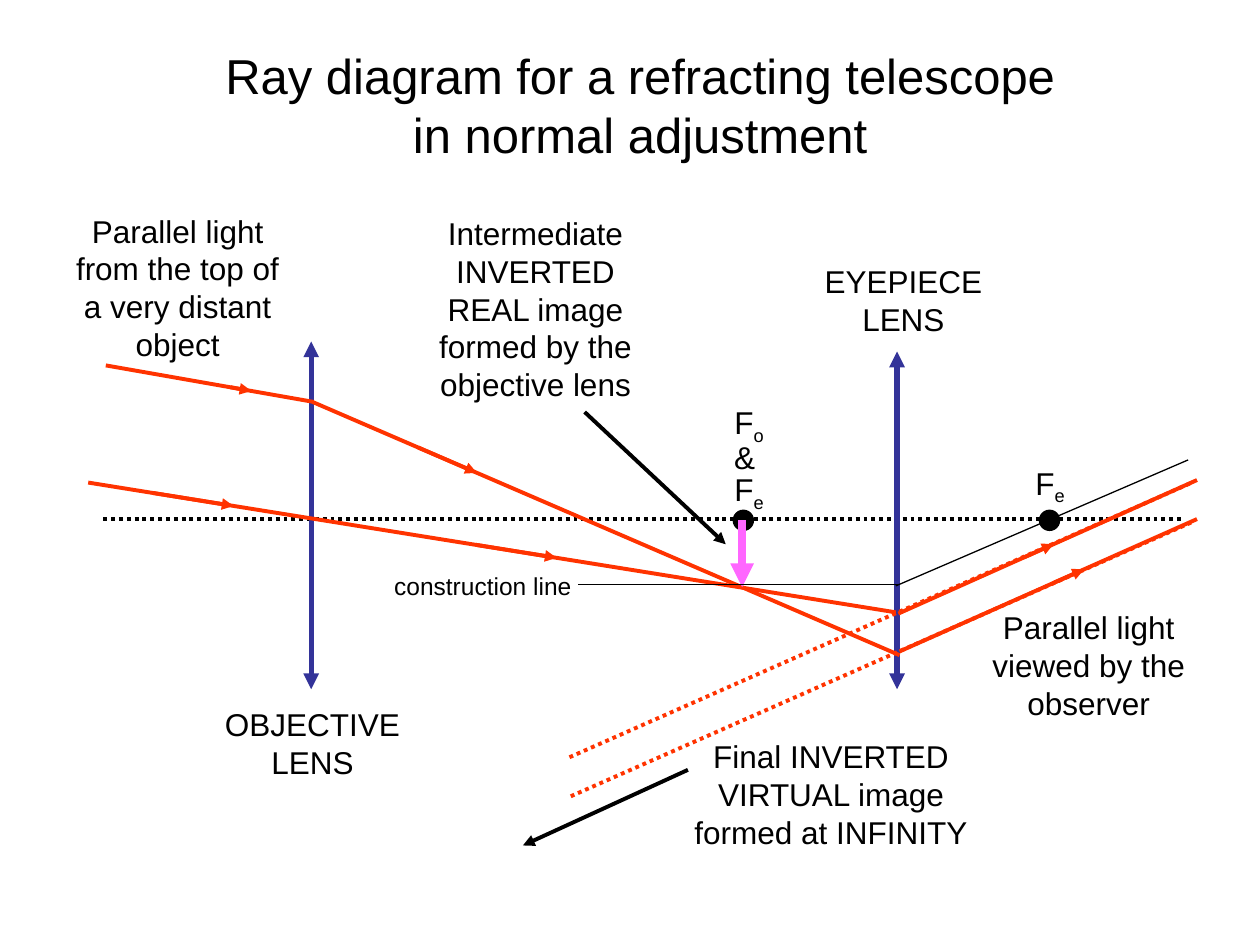
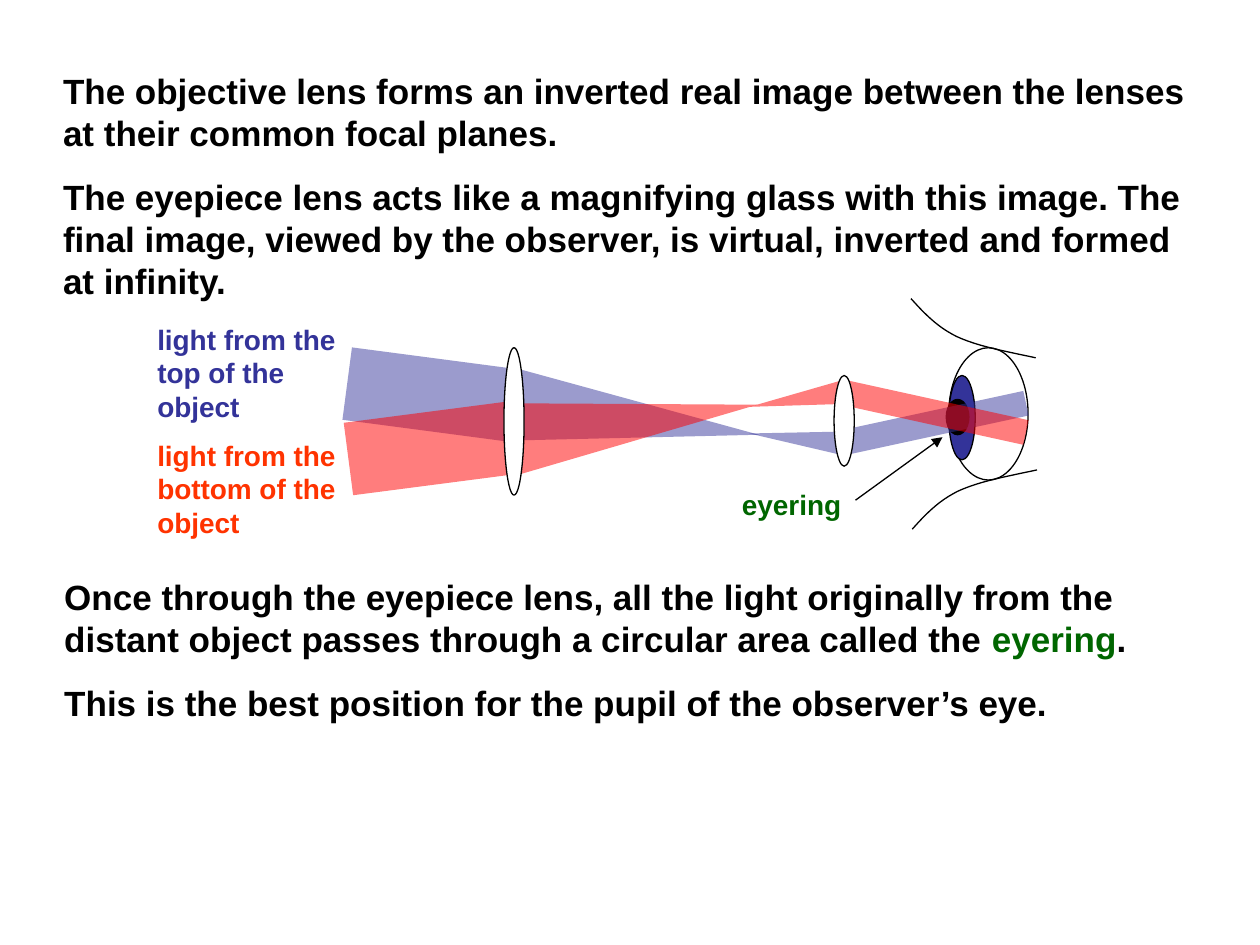
from dataclasses import dataclass

from lxml import etree
from pptx import Presentation
from pptx import util as u
from pptx.dml.color import RGBColor
from pptx.enum import dml, shapes, text
from pptx.oxml.ns import qn

PX = 9144  # EMU in one px: 100 px to the inch


@dataclass(frozen=True)
class Theme:
    font: str = "Arial"
    ink: str = "000000"
    paper: str = "FFFFFF"
    indigo: str = "333399"
    ray: str = "FF3300"
    red: str = "FF0000"
    image: str = "FF66FF"
    eyering: str = "006600"
    title: int = 28
    body: int = 20
    label: int = 18
    caption: int = 16
    small: int = 14
    hairline: float = 0.75
    stroke: float = 2.25
    lens: float = 3
    thick: float = 4.5


THEME = Theme()
OVAL = shapes.MSO_SHAPE.OVAL
RECTANGLE = shapes.MSO_SHAPE.RECTANGLE
TRIANGLE = shapes.MSO_SHAPE.ISOSCELES_TRIANGLE
LEFT, CENTER = text.PP_ALIGN.LEFT, text.PP_ALIGN.CENTER


def write(shape, *paragraphs, size=THEME.label, color=THEME.ink, bold=False,
          align=CENTER, space_before=0):
    """Fill a shape; a paragraph is a string or a list of (text, color, baseline)."""
    frame = shape.text_frame
    frame.word_wrap = True
    frame.auto_size = text.MSO_AUTO_SIZE.NONE
    frame.vertical_anchor = text.MSO_ANCHOR.TOP
    for index, content in enumerate(paragraphs):
        paragraph = frame.add_paragraph() if index else frame.paragraphs[0]
        properties = paragraph._p.get_or_add_pPr()
        properties.set("marL", "0")
        properties.set("indent", "0")
        etree.SubElement(properties, qn("a:buNone"))
        paragraph.alignment = align
        paragraph.space_before = u.Pt(space_before if index else 0)
        runs = [(content, color, 0)] if isinstance(content, str) else content
        for words, run_color, baseline in runs:
            run = paragraph.add_run()
            run.text = words
            run.font.name = THEME.font
            run.font.size = u.Pt(size)
            run.font.bold = bold
            run.font.color.rgb = RGBColor.from_string(run_color)
            if baseline:
                run._r.get_or_add_rPr().set("baseline", str(baseline * 1000))


def place(shape, left, top, width, height):
    shape.left, shape.top = left * PX, top * PX
    shape.width, shape.height = width * PX, height * PX


def outline(shape, color, weight):
    shape.line.color.rgb = RGBColor.from_string(color)
    shape.line.width = u.Pt(weight)


class Region:
    """A box on a slide; all positions are counted from its corner."""

    def __init__(self, slide, left, top):
        self.shapes = slide.shapes
        self.left, self.top = left, top

    def at(self, x, y):
        return round((self.left + x) * PX), round((self.top + y) * PX)

    def label(self, content, left, top, width, height, **style):
        box = self.shapes.add_textbox(*self.at(left, top), width * PX, height * PX)
        write(box, content, **style)

    def line(self, start, end, color=THEME.ink, weight=THEME.stroke,
             dotted=False, arrows=()):
        connector = self.shapes.add_connector(
            shapes.MSO_CONNECTOR.STRAIGHT, *self.at(*start), *self.at(*end))
        outline(connector, color, weight)
        if dotted:
            connector.line.dash_style = dml.MSO_LINE.ROUND_DOT
        properties = connector.element.spPr
        for arrow in arrows:
            etree.SubElement(properties.find(qn("a:ln")), qn(f"a:{arrow}"), type="triangle")
        etree.SubElement(properties, qn("a:effectLst"))

    def arrow(self, start, end, **style):
        self.line(start, end, arrows=["tailEnd"], **style)

    def ray(self, start, end, *tips):
        """Draw a light ray with an arrowhead at each given fraction of its length."""
        def along(part):
            return tuple(a + (b - a) * part for a, b in zip(start, end))

        self.line(start, end, THEME.ray)
        for tip in tips:
            self.arrow(along(tip - 0.1), along(tip), color=THEME.ray)

    def shape(self, kind, left, top, width, height, fill, opacity=None, rotation=0):
        """Draw an outlined shape, or one without outline if an opacity is given."""
        shape = self.shapes.add_shape(kind, *self.at(left, top), width * PX, height * PX)
        shape.shadow.inherit = False
        shape.rotation = rotation
        shape.fill.solid()
        shape.fill.fore_color.rgb = RGBColor.from_string(fill)
        if opacity is None:
            outline(shape, THEME.ink, THEME.hairline)
        else:
            shape.line.fill.background()
            color = shape.element.spPr.find(qn("a:solidFill"))[0]
            etree.SubElement(color, qn("a:alpha"), val=str(opacity * 1000))

    def curve(self, points, steps=12):
        """Draw joined cubic curves: one start point, then three points for each."""
        outline_points = []
        for first in range(0, len(points) - 1, 3):
            for step in range(1, steps + 1):
                t = step / steps
                weights = ((1 - t) ** 3, 3 * t * (1 - t) ** 2, 3 * t * t * (1 - t), t ** 3)
                knots = points[first:first + 4]
                outline_points.append(self.at(*(
                    sum(w * knot[axis] for w, knot in zip(weights, knots))
                    for axis in (0, 1))))
        builder = self.shapes.build_freeform(*self.at(*points[0]))
        builder.add_line_segments(outline_points, close=False)
        shape = builder.convert_to_shape()
        shape.shadow.inherit = False
        shape.fill.background()
        outline(shape, THEME.ink, THEME.hairline)


def draw_lenses_and_foci(region):
    region.line((32, 262), (890, 262), dotted=True)
    for x, top in ((197, 121), (662, 129)):
        region.line((x, top), (x, 397), THEME.indigo, THEME.lens,
                    arrows=["headEnd", "tailEnd"])
    for left in (532, 775):
        region.shape(OVAL, left, 255, 16, 16, THEME.ink)
    for mark, left, top in (("o", 507, 165), ("e", 507, 218), ("e", 746, 213)):
        focus = [("F", THEME.ink, 0), (mark, THEME.ink, -25)]
        region.label(focus, left, top, 75, 44)
    region.label("&", 513, 193, 56, 40)
    region.label("OBJECTIVE LENS", 103, 405, 190, 70)
    region.label("EYEPIECE LENS", 572, 53, 190, 70)


def draw_incoming_light(region):
    region.ray((20, 233), (661, 336), 0.18, 0.58)
    region.ray((198, 169), (664, 370), 0.28)
    region.ray((34, 140), (199, 169), 0.7)
    region.label("Parallel light from the top of a very distant object", -4, 13, 190, 130)


def draw_intermediate_image(region):
    region.label("Intermediate INVERTED REAL image formed by the objective lens",
                 280, 15, 190, 160)
    region.arrow((414, 177), (526, 282))
    region.arrow((539, 263), (539, 316), color=THEME.image, weight=THEME.thick)
    region.line((409, 314), (663, 314), weight=THEME.hairline)
    region.line((661, 315), (893, 215), weight=THEME.hairline)
    region.label("construction line", 253, 298, 176, 34, size=THEME.small, align=LEFT)


def draw_outgoing_light(region):
    region.label("Parallel light viewed by the observer", 719, 328, 190, 100)
    region.ray((663, 337), (900, 231), 0.52)
    region.ray((664, 367), (900, 262), 0.62)
    region.label("Final INVERTED VIRTUAL image formed at INFINITY", 487, 430, 245, 100)
    region.arrow((496, 461), (365, 521))
    for start, end in (((402, 451), (896, 233)), ((403, 482), (897, 264))):
        region.line(start, end, THEME.ray, dotted=True)


def draw_eye(region):
    region.shape(OVAL, 643, 46, 63, 105, THEME.paper)
    upper_lid = [(613, 7), (623, 18), (633, 29), (649, 37),
                 (666, 45), (689, 49), (712, 54)]
    region.curve(upper_lid)
    region.curve([(x + 1, 197 - y) for x, y in upper_lid])
    region.shape(OVAL, 643, 68, 21, 67, THEME.indigo)
    region.shape(OVAL, 641, 87, 18, 28, THEME.ink)
    region.label("eyering", 469, 152, 110, 37, size=THEME.caption,
                 color=THEME.eyering, bold=True, align=LEFT)
    region.arrow((569, 167), (638, 117), weight=THEME.hairline)


def draw_beams(region):
    top_beam = [
        (RECTANGLE, 165, 54, 131, 58, 7.5), (TRIANGLE, 365, 4, 58, 198, 97),
        (TRIANGLE, 513, 80, 19, 76, 276), (RECTANGLE, 555, 96, 151, 20, 347.8)]
    bottom_beam = [
        (RECTANGLE, 166, 97, 129, 58, 352.6), (TRIANGLE, 364, 6, 58, 198, 82),
        (TRIANGLE, 513, 49, 19, 76, 261.1), (RECTANGLE, 554, 87, 152, 20, 12.4)]
    for beam, fill, opacity in ((top_beam, THEME.indigo, 49), (bottom_beam, THEME.red, 51)):
        for kind, left, top, width, height, rotation in beam:
            region.shape(kind, left, top, width, height, fill, opacity, rotation)
    for end, color, top, width in (("top", THEME.indigo, 21, 184),
                                   ("bottom", THEME.ray, 113, 206)):
        region.label(f"light from the {end} of the object", 5, top, width, 90,
                     size=THEME.caption, color=color, bold=True, align=LEFT)
    for left, top, height in ((290, 46, 117), (552, 68, 72)):
        region.shape(OVAL, left, top, 16, height, THEME.paper)


def add_ray_diagram_slide(presentation):
    slide = presentation.slides.add_slide(presentation.slide_layouts.get_by_name("Title Only"))
    title = slide.shapes.title
    place(title, 151, 31, 714, 104)
    write(title, "Ray diagram for a refracting telescope in normal adjustment",
          size=THEME.title)
    diagram = Region(slide, 50, 150)
    draw_lenses_and_foci(diagram)
    draw_incoming_light(diagram)
    draw_intermediate_image(diagram)
    draw_outgoing_light(diagram)


def add_eyering_slide(presentation):
    slide = presentation.slides.add_slide(presentation.slide_layouts.get_by_name("Two Content"))
    title = slide.shapes.title.element
    title.getparent().remove(title)
    images, eyering = slide.placeholders
    style = dict(size=THEME.body, bold=True, align=LEFT, space_before=12.5)
    place(images, 40, 50, 922, 194)
    write(images,
          "The objective lens forms an inverted real image between the lenses "
          "at their common focal planes.",
          "The eyepiece lens acts like a magnifying glass with this image. The final "
          "image, viewed by the observer, is virtual, inverted and formed at infinity.",
          **style)
    place(eyering, 41, 452, 909, 178)
    write(eyering,
          [("Once through the eyepiece lens, all the light originally from the distant "
            "object passes through a circular area called the ", THEME.ink, 0),
           ("eyering", THEME.eyering, 0), (".", THEME.ink, 0)],
          "This is the best position for the pupil of the observer’s eye.",
          **style)
    diagram = Region(slide, 110, 230)
    draw_eye(diagram)
    draw_beams(diagram)


def main():
    presentation = Presentation()
    presentation.slide_width, presentation.slide_height = 1000 * PX, 750 * PX
    add_ray_diagram_slide(presentation)
    add_eyering_slide(presentation)
    presentation.save("out.pptx")


if __name__ == "__main__":
    main()
